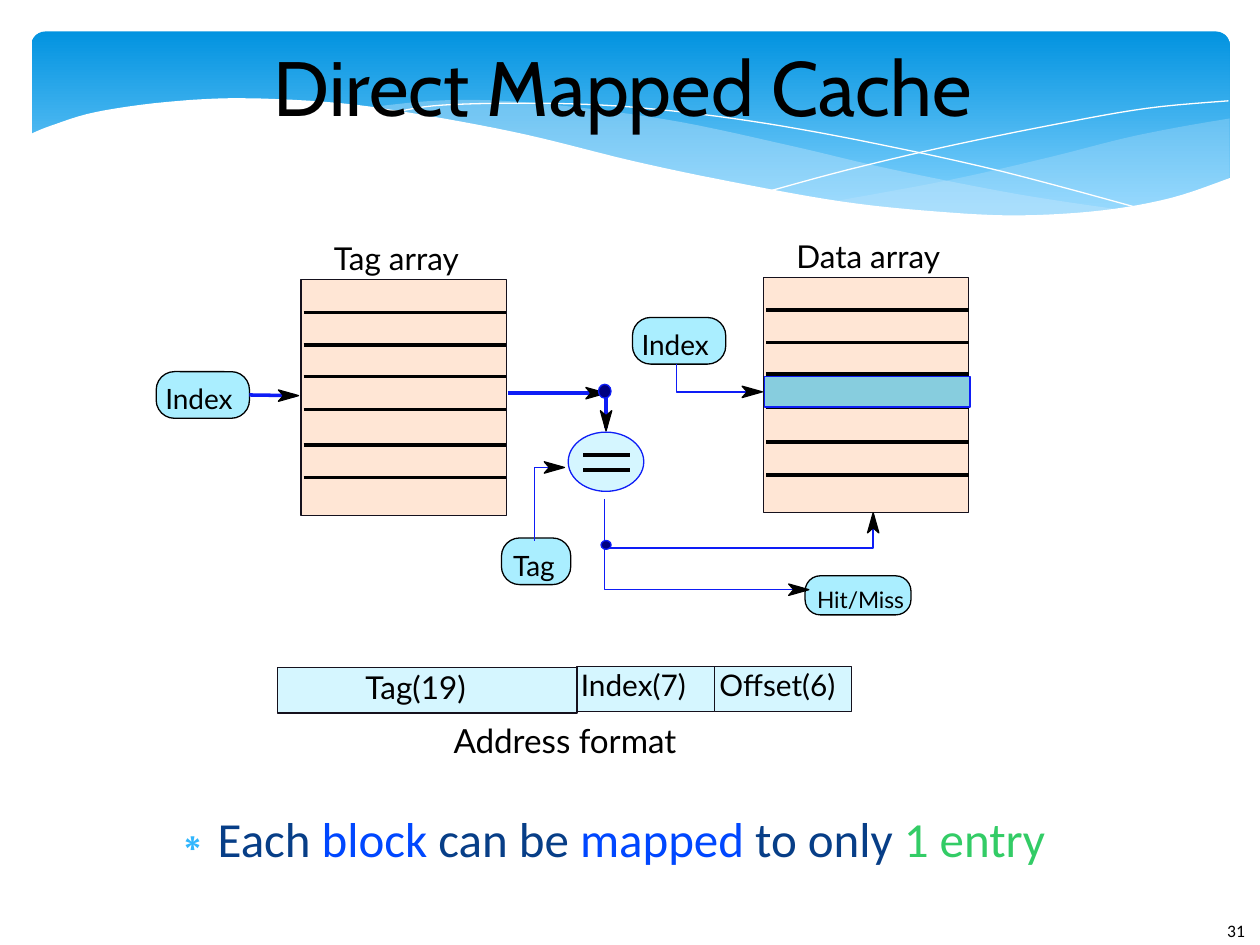
from pptx import Presentation
from pptx.dml.color import RGBColor
from pptx.enum.shapes import MSO_CONNECTOR, MSO_SHAPE
from pptx.enum.text import MSO_ANCHOR, MSO_AUTO_SIZE, PP_ALIGN
from pptx.oxml import parse_xml
from pptx.oxml.ns import nsdecls, qn
from pptx.util import Inches, Pt

STRAIGHT = MSO_CONNECTOR.STRAIGHT
RECT, ROUND, OVAL = MSO_SHAPE.RECTANGLE, MSO_SHAPE.ROUNDED_RECTANGLE, MSO_SHAPE.OVAL
TOP, MIDDLE = MSO_ANCHOR.TOP, MSO_ANCHOR.MIDDLE
LEFT, CENTER = PP_ALIGN.LEFT, PP_ALIGN.CENTER
RIGHT_SIDE = 3

BLACK, WHITE = RGBColor(0, 0, 0), RGBColor(255, 255, 255)
INK = RGBColor(0x15, 0x11, 0x1D)
WIRE = RGBColor(0x0E, 0x1D, 0xF6)
PEACH = RGBColor(0xFF, 0xE6, 0xD5)
PALE = RGBColor(0xD5, 0xF6, 0xFF)
CYAN = RGBColor(0xAA, 0xEE, 0xFF)
TEAL = RGBColor(0x87, 0xCD, 0xDE)
DOT = RGBColor(0, 0, 0x80)
MIST = RGBColor(0xC6, 0xE7, 0xFC)
SKY_TOP, SKY_END = RGBColor(0x02, 0x93, 0xE0), RGBColor(0x83, 0xD3, 0xFE)
NAVY = RGBColor(0x07, 0x3E, 0x87)
BLUE = RGBColor(0, 0x47, 0xFF)
GREEN = RGBColor(0x33, 0xCC, 0x66)

TITLE = "Direct Mapped Cache"
BULLET = [("Each ", NAVY), ("block", BLUE), (" can be ", NAVY),
          ("mapped", BLUE), (" to only ", NAVY), ("1 entry", GREEN)]

VEILS = [
    (29, [(9.76, 0.94), (9.35, 1.01), (8.91, 1.1), (8.32, 1.25), (7.53, 1.43), (6.61, 1.6)],
     [(6.61, 1.6), (7.05, 1.65), (7.57, 1.7), (8.14, 1.72), (8.72, 1.69), (9.21, 1.6),
      (9.49, 1.52), (9.76, 1.41)]),
    (40, [(8.93, 1.67), (8.07, 1.54), (7.06, 1.34), (6.29, 1.16), (5.41, 0.97), (4.65, 0.86),
          (3.99, 0.8), (3.44, 0.8), (2.86, 0.86)],
     [(2.86, 0.86), (3.62, 0.97), (4.49, 1.16), (5.3, 1.35), (6.18, 1.53), (6.95, 1.65),
      (7.61, 1.71), (8.18, 1.73), (8.57, 1.71), (8.93, 1.67)]),
]
STREAKS = [
    [(3.09, 0.9), (3.44, 0.84), (4.01, 0.82), (4.69, 0.83), (5.33, 0.88), (6.08, 0.98),
     (6.95, 1.14), (7.95, 1.36), (9.07, 1.66)],
    [(6.13, 1.51), (6.72, 1.35), (7.48, 1.17), (8.36, 0.99), (9.1, 0.86), (9.75, 0.8)],
]
WAVE = [(9.77, 1.41), (9.3, 1.57), (8.75, 1.67), (8.09, 1.71), (7.44, 1.68), (6.68, 1.6),
        (5.79, 1.44), (5.03, 1.28), (4.18, 1.07), (3.4, 0.92), (2.71, 0.82), (1.93, 0.78),
        (1.32, 0.81), (0.76, 0.89), (0.4, 1), (0.23, 1.07)]

ARRAYS = [(2.39, 2.22), (6.06, 2.2)]
ARRAY_SIZE = (1.63, 1.87)
ROW_OFFSETS = [0.26, 0.52, 0.77, 1.03, 1.31, 1.57]
LABELS = [("Tag array", 2.65, 1.9, 1.25, 18), ("Data array", 6.32, 1.88, 1.35, 18),
          ("Address format", 3.6, 5.72, 2, 19)]
ADDRESS = [("Tag(19)", (2.2, 5.3, 2.38, 0.36), 18, 0.7),
           ("Index(7)", (4.58, 5.29, 1.09, 0.36), 17, 0.03),
           ("Offset(6)", (5.67, 5.29, 1.09, 0.36), 17, 0.04)]
SIGNALS = [("Index", (1.24, 2.95, 0.74, 0.37), 16, 0.03),
           ("Index", (5.02, 2.52, 0.74, 0.37), 16, 0.03),
           ("Tag", (3.98, 4.27, 0.55, 0.37), 16, 0.05),
           ("Hit/Miss", (6.39, 4.57, 0.84, 0.31), 13, 0.06)]
STRAIGHT_WIRES = [((4.03, 3.12), (4.79, 3.12)), ((4.81, 3.11), (4.81, 3.4))]
BENT_WIRES = [[(4.24, 4.29), (4.24, 3.71), (4.47, 3.71)],
              [(4.83, 4.35), (6.93, 4.35), (6.93, 4.1)],
              [(4.8, 3.96), (4.8, 4.68), (6.4, 4.68)],
              [(5.37, 2.89), (5.37, 3.11), (6.02, 3.11)]]
HEADS = [((2.37, 3.14), (1, 0)), ((4.81, 3.12), (1, 0)), ((4.48, 3.71), (1, 0)),
         ((4.81, 3.42), (0, 1)), ((6.93, 4.07), (0, -1)), ((6.42, 4.68), (1, 0)),
         ((6.05, 3.11), (1, 0))]
DOTS = [(4.75, 3.05, 0.1, 0.11), (4.77, 4.29, 0.08, 0.07)]

deck = Presentation()
deck.slide_width, deck.slide_height = Inches(10), Inches(7.5)
page = deck.slides.add_slide(deck.slide_layouts[1])
shapes = page.shapes


def place(item, bounds):
    item.left, item.top, item.width, item.height = map(Inches, bounds)


def paint(shape, fill=None, line=None):
    shape.shadow.inherit = False
    if fill is None:
        shape.fill.background()
    else:
        shape.fill.solid()
        shape.fill.fore_color.rgb = fill
    if line is None:
        shape.line.fill.background()
    else:
        shape.line.color.rgb = line
        shape.line.width = Pt(0)
    return shape


def preset(kind, bounds, fill, line):
    return paint(shapes.add_shape(kind, *map(Inches, bounds)), fill, line)


def outline(points, fill=None, line=None, close=True):
    corners = [(Inches(x), Inches(y)) for x, y in points]
    builder = shapes.build_freeform(*corners[0])
    builder.add_line_segments(corners[1:], close=close)
    return paint(builder.convert_to_shape(), fill, line)


def smooth(points, steps=6):
    ends = [points[0], *points, points[-1]]
    curve = []
    for a, b, c, d in zip(ends, ends[1:], ends[2:], ends[3:]):
        for step in range(steps):
            t = step / steps
            curve.append(tuple(
                q + t * (r - p + t * (2 * p - 5 * q + 4 * r - s
                                      + t * (3 * q - p - 3 * r + s))) / 2
                for p, q, r, s in zip(a, b, c, d)))
    return curve + [points[-1]]


def connect(start, end, color):
    line = shapes.add_connector(STRAIGHT, *map(Inches, (*start, *end)))
    line.line.color.rgb = color
    line.line.width = Pt(0)
    line._element.spPr.append(parse_xml(f"<a:effectLst {nsdecls('a')}/>"))
    return line


def arrowhead(tip, direction):
    (x, y), (dx, dy) = tip, direction
    offsets = [(0.12, 0), (0.16, 0.045), (0, 0), (0.16, -0.045)]
    outline([(x - back * dx - side * dy, y - back * dy + side * dx)
             for back, side in offsets], BLACK, BLACK)


def write(box, spans, size, font, align=LEFT, anchor=TOP, margins=(0, 0), wrap=True):
    frame = box.text_frame
    frame.margin_left, frame.margin_top = map(Inches, margins)
    frame.margin_right = frame.margin_bottom = 0
    frame.word_wrap = wrap
    frame.auto_size = MSO_AUTO_SIZE.NONE
    frame.vertical_anchor = anchor
    para = frame.paragraphs[0]
    para.alignment = align
    for text, color in spans:
        span = para.add_run()
        span.text = text
        span.font.size, span.font.name = Pt(size), font
        span.font.color.rgb = color
    return para


def label(text, bounds, size, font="Lato"):
    write(shapes.add_textbox(*map(Inches, bounds)), [(text, BLACK)], size, font, wrap=False)


banner = preset(ROUND, (0.25, 0.25, 9.51, 1.56), WHITE, None)
banner.adjustments[0] = 0.07
banner.fill.gradient()
banner.fill.gradient_angle = 270
for stop, color, position in zip(banner.fill.gradient_stops, (SKY_TOP, SKY_END), (0, 0.9)):
    stop.color.rgb, stop.position = color, position
for opacity, upper, lower in VEILS:
    veil = outline(smooth(upper) + smooth(lower), MIST)
    tint = veil._element.spPr.find(".//" + qn("a:srgbClr"))
    tint.append(parse_xml(f'<a:alpha {nsdecls("a")} val="{opacity * 1000}"/>'))
for streak in STREAKS:
    outline(smooth(streak), line=WHITE, close=False)
outline(smooth(WAVE) + [(0.23, 2.24), (9.77, 2.24)], WHITE)

title, body = page.placeholders
for item in (title, body):
    shapes._spTree.append(item._element)
place(title, (0.89, 0.17, 8.11, 1.02))
write(title, [(TITLE, BLACK)], 44, "Cabin", CENTER, MIDDLE)
place(body, (1.22, 6.42, 8.11, 0.64))
para = write(body, BULLET, 28, "Calibri")
para.space_before, para.space_after = Pt(0), Pt(14.1)
settings = para._p.get_or_add_pPr()
settings.set("marL", str(Inches(0.47)))
settings.set("indent", str(Inches(-0.35)))
settings.append(parse_xml(f'<a:buClr {nsdecls("a")}><a:srgbClr val="31B6FD"/></a:buClr>'))
settings.append(parse_xml(f'<a:buChar {nsdecls("a")} char="∗"/>'))
label("31", (9.74, 7.3, 0.2, 0.2), 10, "Calibri")

for left, top in ARRAYS:
    preset(RECT, (left, top, *ARRAY_SIZE), PEACH, INK)
    for offset in ROW_OFFSETS:
        connect((left + 0.02, top + offset), (left + ARRAY_SIZE[0], top + offset), BLACK)
for text, left, top, width, size in LABELS:
    label(text, (left, top, width, 0.35), size)
for text, bounds, size, inset in ADDRESS:
    write(preset(RECT, bounds, PALE, INK), [(text, BLACK)], size, "Lato", margins=(inset, 0))

signal_boxes = []
for text, bounds, size, inset in SIGNALS:
    box = preset(ROUND, bounds, CYAN, BLACK)
    box.adjustments[0] = 0.39
    write(box, [(text, BLACK)], size, "Lato", margins=(inset, 0.04))
    signal_boxes.append(box)

preset(OVAL, (4.51, 3.43, 0.6, 0.47), PALE, WIRE)
for y in (3.61, 3.73):
    connect((4.63, y), (5, y), BLACK)
for start, end in STRAIGHT_WIRES:
    connect(start, end, WIRE)
connect((1.98, 3.14), (2.34, 3.14), WIRE).begin_connect(signal_boxes[0], RIGHT_SIDE)
for points in BENT_WIRES:
    outline(points, line=WIRE, close=False)
for tip, direction in HEADS:
    arrowhead(tip, direction)
for bounds in DOTS:
    preset(OVAL, bounds, DOT, WIRE)
preset(RECT, (6.07, 2.99, 1.63, 0.24), TEAL, WIRE)

deck.save("out.pptx")
